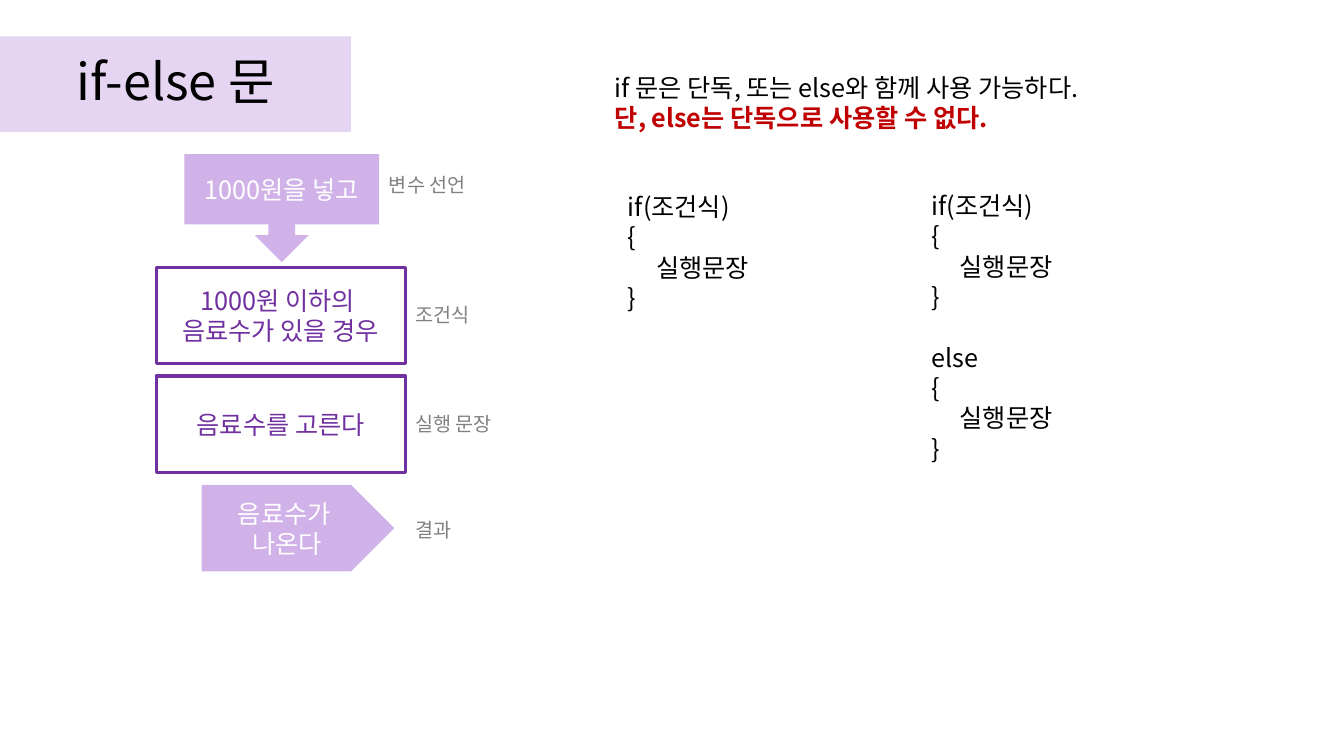
from lxml import etree
from pptx import Presentation
from pptx import util as u
from pptx.dml.color import RGBColor
from pptx.enum import shapes, text
from pptx.oxml.ns import qn

FONT = "Noto Sans CJK KR"
BLACK, WHITE, GREY, RED = "000000", "FFFFFF", "808080", "C00000"
PURPLE, LILAC, BAND = "7030A0", "D1B2E8", "AC75D5"
IF_BLOCK = ["if(조건식)", "{", "     실행문장", "}"]
ELSE_BLOCK = ["else", "{", "     실행문장", "}"]


def rgb(value):
    return RGBColor.from_string(value)


def place(item, left, top, width, height):
    item.left, item.top = u.Inches(left), u.Inches(top)
    item.width, item.height = u.Inches(width), u.Inches(height)


def add_run(paragraph, words, size=18, color=BLACK, bold=False):
    run = paragraph.add_run()
    run.text = words
    run.font.name = FONT
    run.font.size = u.Pt(size)
    run.font.bold = bold
    run.font.color.rgb = rgb(color)
    east_asian = etree.SubElement(run.font._element, qn("a:ea"))
    east_asian.set("typeface", FONT)


def write(frame, lines, align=text.PP_ALIGN.LEFT, **style):
    """Fill the frame with one paragraph per line and return the paragraphs."""
    frame.word_wrap = True
    for index, line in enumerate(lines):
        paragraph = frame.add_paragraph() if index else frame.paragraphs[0]
        paragraph.alignment = align
        add_run(paragraph, line, **style)
    return frame.paragraphs


def add_note(slide, box, lines, **style):
    note = slide.shapes.add_textbox(*map(u.Inches, box))
    return write(note.text_frame, lines, **style)


def add_step(slide, kind, box, lines, color, fill=None, line=None):
    step = slide.shapes.add_shape(kind, *map(u.Inches, box))
    step.shadow.inherit = False
    if fill:
        step.fill.solid()
        step.fill.fore_color.rgb = rgb(fill)
    else:
        step.fill.background()
    if line:
        step.line.color.rgb = rgb(line)
        step.line.width = u.Pt(2.25)
    else:
        step.line.fill.background()
    step.text_frame.vertical_anchor = text.MSO_ANCHOR.MIDDLE
    write(step.text_frame, lines, align=text.PP_ALIGN.CENTER, color=color)


def set_title(slide, words):
    title = slide.shapes.title
    place(title, 0, 0.36, 3.48, 0.95)
    title.fill.solid()
    title.fill.fore_color.rgb = rgb(BAND)
    tint = title.fill._xPr.find(".//" + qn("a:srgbClr"))
    etree.SubElement(tint, qn("a:alpha")).set("val", "30000")
    frame = title.text_frame
    frame.auto_size = text.MSO_AUTO_SIZE.NONE
    frame.vertical_anchor = text.MSO_ANCHOR.MIDDLE
    heading, = write(frame, [words], align=text.PP_ALIGN.CENTER, size=36)
    heading.line_spacing = 0.9


def add_flow(slide):
    kinds = shapes.MSO_SHAPE
    filled = {"color": WHITE, "fill": LILAC}
    outlined = {"color": PURPLE, "line": PURPLE}
    add_step(slide, kinds.DOWN_ARROW_CALLOUT, (1.83, 1.53, 1.93, 1.07),
             ["1000원을 넣고"], **filled)
    add_step(slide, kinds.RECTANGLE, (1.55, 2.65, 2.47, 0.96),
             ["1000원 이하의 ", "음료수가 있을 경우"], **outlined)
    add_step(slide, kinds.RECTANGLE, (1.55, 3.73, 2.47, 0.96),
             ["음료수를 고른다"], **outlined)
    add_step(slide, kinds.PENTAGON, (2, 4.81, 1.91, 0.86),
             ["음료수가 ", "나온다"], **filled)
    for left, top, label in [(3.76, 1.67, "변수 선언"), (4.02, 2.96, "조건식"),
                             (4.02, 4.04, "실행 문장"), (4.02, 5.09, "결과")]:
        add_note(slide, (left, top, 1.5, 0.34), [label], size=14, color=GREY)


def add_syntax(slide):
    rule, = add_note(slide, (6, 0.67, 4.85, 0.71),
                     ["if 문은 단독, 또는 else와 함께 사용 가능하다. "])
    add_run(rule, "단, else는 단독으로 사용할 수 없다.", color=RED, bold=True)
    add_note(slide, (6.13, 1.85, 2.3, 1.31), IF_BLOCK)
    code = add_note(slide, (9.14, 1.84, 2.46, 2.83), IF_BLOCK + ELSE_BLOCK)
    code[len(IF_BLOCK)].space_before = u.Pt(22)


def main():
    deck = Presentation()
    deck.slide_width, deck.slide_height = u.Inches(13.33), u.Inches(7.5)
    slide = deck.slides.add_slide(deck.slide_layouts.get_by_name("Title Only"))
    set_title(slide, "if-else 문")
    add_flow(slide)
    add_syntax(slide)
    deck.save("out.pptx")


if __name__ == "__main__":
    main()
